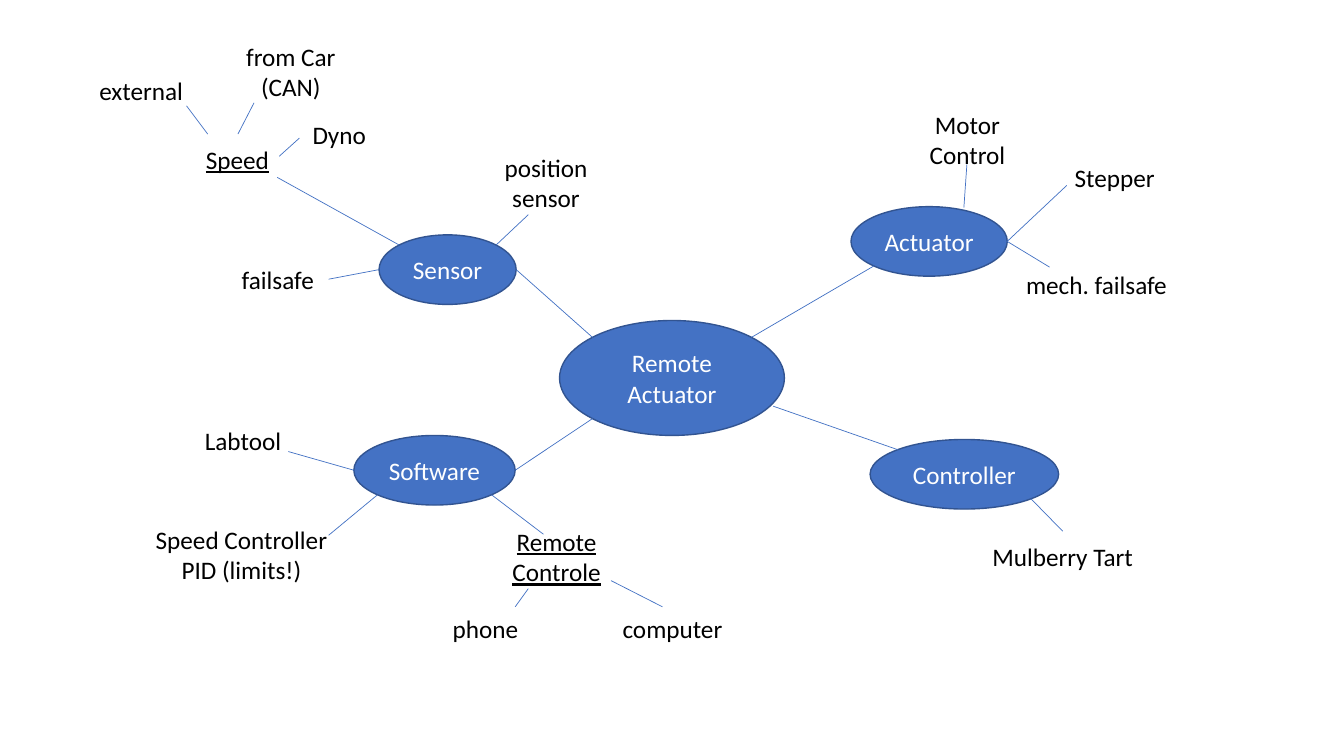
from dataclasses import dataclass
from lxml import etree
from pptx import Presentation
from pptx.dml.color import RGBColor
from pptx.enum.shapes import MSO_CONNECTOR, MSO_SHAPE
from pptx.enum.text import MSO_ANCHOR, PP_ALIGN
from pptx.oxml.ns import qn
from pptx.util import Inches, Pt

OVAL = MSO_SHAPE.OVAL
STRAIGHT = MSO_CONNECTOR.STRAIGHT
MIDDLE = MSO_ANCHOR.MIDDLE
CENTER = PP_ALIGN.CENTER


@dataclass(frozen=True)
class Theme:
    font: str = "Calibri"
    size: Pt = Pt(18)
    blue: RGBColor = RGBColor(0x44, 0x72, 0xC4)
    outline: RGBColor = RGBColor(0x32, 0x54, 0x91)
    light: RGBColor = RGBColor(0xFF, 0xFF, 0xFF)
    dark: RGBColor = RGBColor(0, 0, 0)
    outline_width: Pt = Pt(1)
    link_width: Pt = Pt(0.5)


THEME = Theme()
LABEL_HEIGHT = 0.5
DIAGONAL = 0.5 ** 0.5
SITES = {
    "left": (-1, 0),
    "right": (1, 0),
    "upper left": (-DIAGONAL, -DIAGONAL),
    "upper right": (DIAGONAL, -DIAGONAL),
    "lower left": (-DIAGONAL, DIAGONAL),
    "lower right": (DIAGONAL, DIAGONAL),
}

HUBS = {
    "Remote Actuator": (5.55, 3.18, 2.23, 1.14),
    "Sensor": (3.76, 2.33, 1.36, 0.69),
    "Actuator": (8.44, 2.05, 1.55, 0.69),
    "Software": (3.51, 4.32, 1.6, 0.69),
    "Controller": (8.63, 4.36, 1.87, 0.69),
}

LABELS = [
    ("Speed", 1.85, 1.33, 1.01),
    ("external", 0.84, 0.65, 1.12),
    ("from Car (CAN)", 2.1, 0.46, 1.57),
    ("Dyno", 2.86, 1.08, 1.01),
    ("failsafe", 2.25, 2.52, 1.01),
    ("position sensor", 4.77, 1.56, 1.29),
    ("Remote Controle", 4.91, 5.27, 1.22),
    ("phone", 4.31, 5.98, 1.01),
    ("computer", 5.95, 5.98, 1.44),
    ("Speed Controller PID (limits!)", 1.39, 5.25, 2.01),
    ("Labtool", 1.85, 4.12, 1.12),
    ("Mulberry Tart", 9.56, 5.27, 1.96),
    ("Motor Control", 8.95, 1.13, 1.29),
    ("mech. failsafe", 10.05, 2.57, 1.65),
    ("Stepper", 10.41, 1.51, 1.29),
]
SUBTOPICS = {"Speed", "Remote Controle"}

LINKS = [
    (("Sensor", "upper left"), (2.75, 1.76)),
    ((2.77, 1.55), (2.97, 1.37)),
    ((2.36, 1.33), (2.52, 1.02)),
    ((2.06, 1.33), (1.85, 1.05)),
    ((3.26, 2.77), ("Sensor", "left")),
    (("Sensor", "upper right"), (5.24, 2.13)),
    (("Software", "left"), (2.86, 4.48)),
    (("Software", "lower left"), (3.26, 5.31)),
    (("Software", "lower right"), (5.39, 5.3)),
    ((6.06, 5.76), (6.57, 6.02)),
    ((5.24, 5.84), (5.11, 6.02)),
    (("Software", "right"), ("Remote Actuator", "lower left")),
    (("Sensor", "right"), ("Remote Actuator", "upper left")),
    (("Remote Actuator", "upper right"), ("Actuator", "lower left")),
    ((9.56, 2.06), (9.59, 1.63)),
    (("Actuator", "right"), (10.58, 1.84)),
    (("Actuator", "right"), (10.41, 2.65)),
    ((7.67, 4.03), ("Controller", "upper left")),
    (("Controller", "lower right"), (10.54, 5.27)),
]


def write(box, text, color, underline=False):
    frame = box.text_frame
    frame.text = text
    frame.word_wrap = True
    frame.vertical_anchor = MIDDLE
    para = frame.paragraphs[0]
    para.alignment = CENTER
    font = para.runs[0].font
    font.name = THEME.font
    font.size = THEME.size
    font.color.rgb = color
    if underline:
        font.underline = True


def add_hub(page, name, bounds):
    hub = page.shapes.add_shape(OVAL, *map(Inches, bounds))
    hub.shadow.inherit = False
    hub.fill.solid()
    hub.fill.fore_color.rgb = THEME.blue
    hub.line.color.rgb = THEME.outline
    hub.line.width = THEME.outline_width
    write(hub, name, THEME.light)


def add_label(page, text, left, top, width):
    box = page.shapes.add_textbox(*map(Inches, (left, top, width, LABEL_HEIGHT)))
    write(box, text, THEME.dark, text in SUBTOPICS)


def locate(end):
    if end[0] not in HUBS:
        return end
    name, site = end
    left, top, width, height = HUBS[name]
    across, down = SITES[site]
    return left + width * (1 + across) / 2, top + height * (1 + down) / 2


def add_link(page, start, end):
    points = (*locate(start), *locate(end))
    link = page.shapes.add_connector(STRAIGHT, *map(Inches, points))
    link.line.color.rgb = THEME.blue
    link.line.width = THEME.link_width
    etree.SubElement(link._element.spPr, qn("a:effectLst"))


deck = Presentation()
deck.slide_width = Inches(13.33)
deck.slide_height = Inches(7.5)
page = deck.slides.add_slide(deck.slide_layouts[6])

for name, bounds in HUBS.items():
    add_hub(page, name, bounds)
for label in LABELS:
    add_label(page, *label)
for start, end in LINKS:
    add_link(page, start, end)

deck.save("out.pptx")
